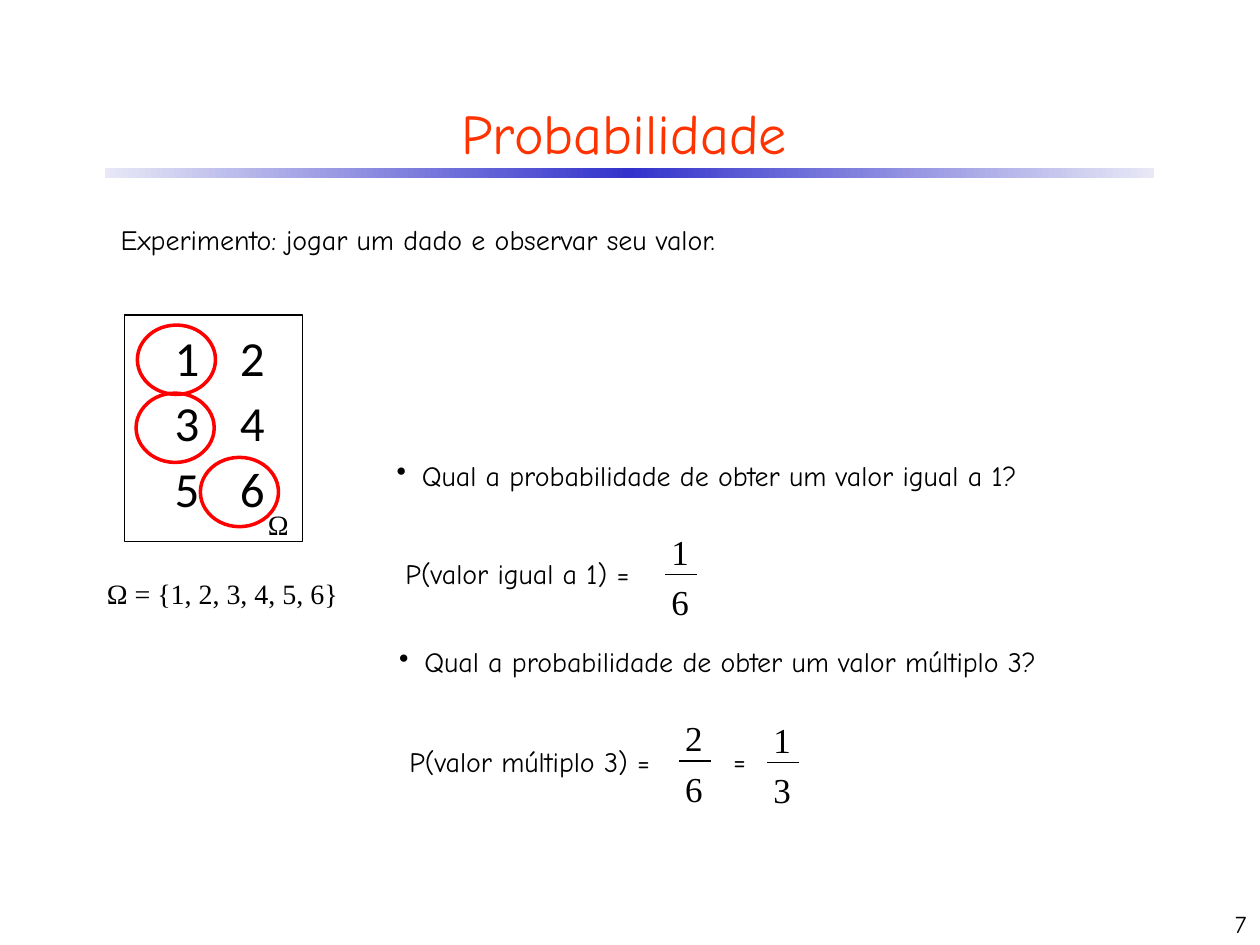
"""Build the probability slide about throwing a die."""
from copy import deepcopy

from lxml.etree import SubElement
from pptx import Presentation
from pptx.dml.color import RGBColor
from pptx.enum.shapes import MSO_CONNECTOR, MSO_SHAPE
from pptx.enum.text import MSO_ANCHOR, MSO_AUTO_SIZE, PP_ALIGN
from pptx.oxml.ns import qn
from pptx.util import Inches, Pt

BLACK = RGBColor(0x00, 0x00, 0x00)
RED = RGBColor(0xFF, 0x00, 0x00)
ORANGE = RGBColor(0xFF, 0x33, 0x00)
BLUE = RGBColor(0x33, 0x33, 0xCC)
PALE_BLUE = RGBColor(0xE8, 0xE8, 0xF6)

BODY = {"name": "Comic Neue", "size": Pt(16)}
TITLE = {"name": "Comic Neue", "size": Pt(32)}
NUMBER = {"name": "Comic Neue", "size": Pt(14)}
SYMBOL = {"name": "Times New Roman", "size": Pt(16)}
FRACTION = {"name": "Times New Roman", "size": Pt(20)}
DIE = {"name": "Calibri", "size": Pt(28)}


class SlideBuilder:
    """Hold the style and the current slide."""

    def __init__(self, presentation):
        self.slide = presentation.slides.add_slide(presentation.slide_layouts[5])
        self.shapes = self.slide.shapes

    def fill_frame(self, frame, text, style, color=BLACK, align=PP_ALIGN.LEFT):
        """Fill the first paragraph of a frame."""
        paragraph = frame.paragraphs[0]
        paragraph.alignment = align
        run = paragraph.add_run()
        run.text = text
        for key, value in style.items():
            setattr(run.font, key, value)
        run.font.color.rgb = color
        return paragraph

    def title(self, text, left, top, width, height):
        """Place the title placeholder."""
        shape = self.shapes.title
        box = {"left": left, "top": top, "width": width, "height": height}
        for key, value in box.items():
            setattr(shape, key, Inches(value))
        frame = shape.text_frame
        frame.auto_size = MSO_AUTO_SIZE.NONE
        frame.vertical_anchor = MSO_ANCHOR.MIDDLE
        self.fill_frame(frame, text, TITLE, ORANGE, PP_ALIGN.CENTER)

    def text(self, text, left, top, width, height=0.37, style=BODY,
             align=PP_ALIGN.LEFT, wrap=False):
        """Add a one-line text box that fits its text."""
        shape = self.shapes.add_textbox(*map(Inches, (left, top, width, height)))
        frame = shape.text_frame
        frame.word_wrap = wrap
        frame.auto_size = MSO_AUTO_SIZE.SHAPE_TO_FIT_TEXT
        return self.fill_frame(frame, text, style, align=align)

    def item(self, text, left, top, width, bullet=None):
        """Add a hanging line, with or without a bullet."""
        properties = self.text(text, left, top, width)._p.get_or_add_pPr()
        properties.set("marL", str(Inches(0.2)))
        properties.set("indent", str(-Inches(0.2)))
        if bullet:
            SubElement(properties, qn("a:buChar")).set("char", bullet)

    def outline(self, kind, left, top, width, height, color, weight):
        """Add an unfilled preset shape."""
        shape = self.shapes.add_shape(kind, *map(Inches, (left, top, width, height)))
        shape.shadow.inherit = False
        shape.fill.background()
        shape.line.color.rgb = color
        shape.line.width = Pt(weight)

    def gradient_bar(self, left, top, width, height):
        """Add the bar that fades out at both ends."""
        shape = self.shapes.add_shape(
            MSO_SHAPE.RECTANGLE, *map(Inches, (left, top, width, height)))
        shape.shadow.inherit = False
        shape.line.fill.background()
        shape.fill.gradient()
        shape.fill.gradient_angle = 0
        stop_list = shape._element.spPr.find(".//" + qn("a:gsLst"))
        stop_list.append(deepcopy(stop_list[0]))
        colors = (PALE_BLUE, BLUE, PALE_BLUE)
        for index, stop in enumerate(shape.fill.gradient_stops):
            stop.position = index / 2
            stop.color.rgb = colors[index]

    def fraction(self, numerator, denominator, left, middle):
        """Add a fraction whose bar starts at the given point."""
        line = self.shapes.add_connector(
            MSO_CONNECTOR.STRAIGHT,
            *map(Inches, (left, middle, left + 0.25, middle)))
        line.line.color.rgb = BLACK
        line.line.width = Pt(0.75)
        SubElement(line._element.spPr, qn("a:effectLst"))
        for text, top in ((numerator, middle - 0.4), (denominator, middle)):
            self.text(text, left - 0.05, top, 0.34, 0.44, FRACTION)

    def slide_number(self, text, left, top, width, height):
        """Add the number in the bottom corner."""
        shape = self.shapes.add_textbox(*map(Inches, (left, top, width, height)))
        frame = shape.text_frame
        frame.word_wrap = True
        frame.vertical_anchor = MSO_ANCHOR.BOTTOM
        self.fill_frame(frame, text, NUMBER, align=PP_ALIGN.RIGHT)


def main():
    """Build and save the slide."""
    presentation = Presentation()
    presentation.slide_width = Inches(10)
    presentation.slide_height = Inches(7.5)
    builder = SlideBuilder(presentation)

    builder.gradient_bar(0.83, 1.33, 8.33, 0.08)
    builder.title("Probabilidade", 0.33, 0.67, 9.25, 0.75)
    builder.text("Experimento: jogar um dado e observar seu valor.",
                 0.86, 1.72, 5.94, wrap=True)
    builder.text("Ω = {1, 2, 3, 4, 5, 6}", 0.75, 4.53, 2.06, style=SYMBOL)

    builder.outline(MSO_SHAPE.RECTANGLE, 0.99, 2.5, 1.41, 1.8, BLACK, 0.75)
    for index in range(6):
        row, column = divmod(index, 2)
        builder.text(str(index + 1), 1.09 + 0.52 * column, 2.55 + 0.52 * row,
                     0.59, 0.57, DIE, PP_ALIGN.RIGHT)
    builder.text("Ω", 2.02, 3.98, 0.37, style=SYMBOL, align=PP_ALIGN.RIGHT)
    for left, top in ((1.09, 2.58), (1.08, 3.12), (1.59, 3.63)):
        builder.outline(MSO_SHAPE.OVAL, left, top, 0.62, 0.55, RED, 2)

    builder.item("Qual a probabilidade de obter um valor igual a 1?",
                 3.05, 3.59, 5.48, "•")
    builder.item("P(valor igual a 1) =", 3.12, 4.37, 2.07)
    builder.fraction("1", "6", 5.28, 4.56)

    builder.item("Qual a probabilidade de obter um valor múltiplo 3?",
                 3.07, 5.07, 5.68, "•")
    builder.item("P(valor múltiplo 3) =", 3.15, 5.86, 2.27)
    builder.fraction("2", "6", 5.39, 6.04)
    builder.text("=", 5.72, 5.85, 0.32)
    builder.fraction("1", "3", 6.09, 6.05)

    builder.slide_number("7", 7.91, 7, 2.08, 0.5)
    presentation.save("out.pptx")


if __name__ == "__main__":
    main()
